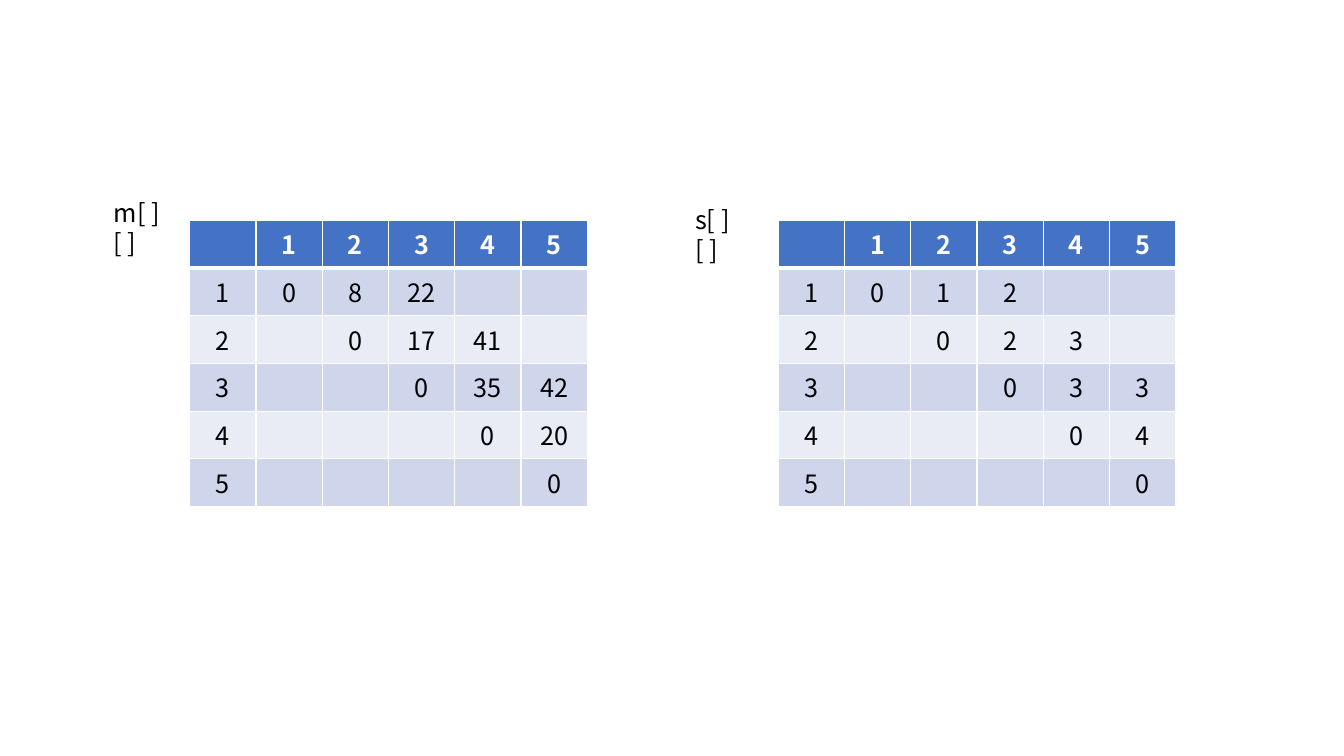
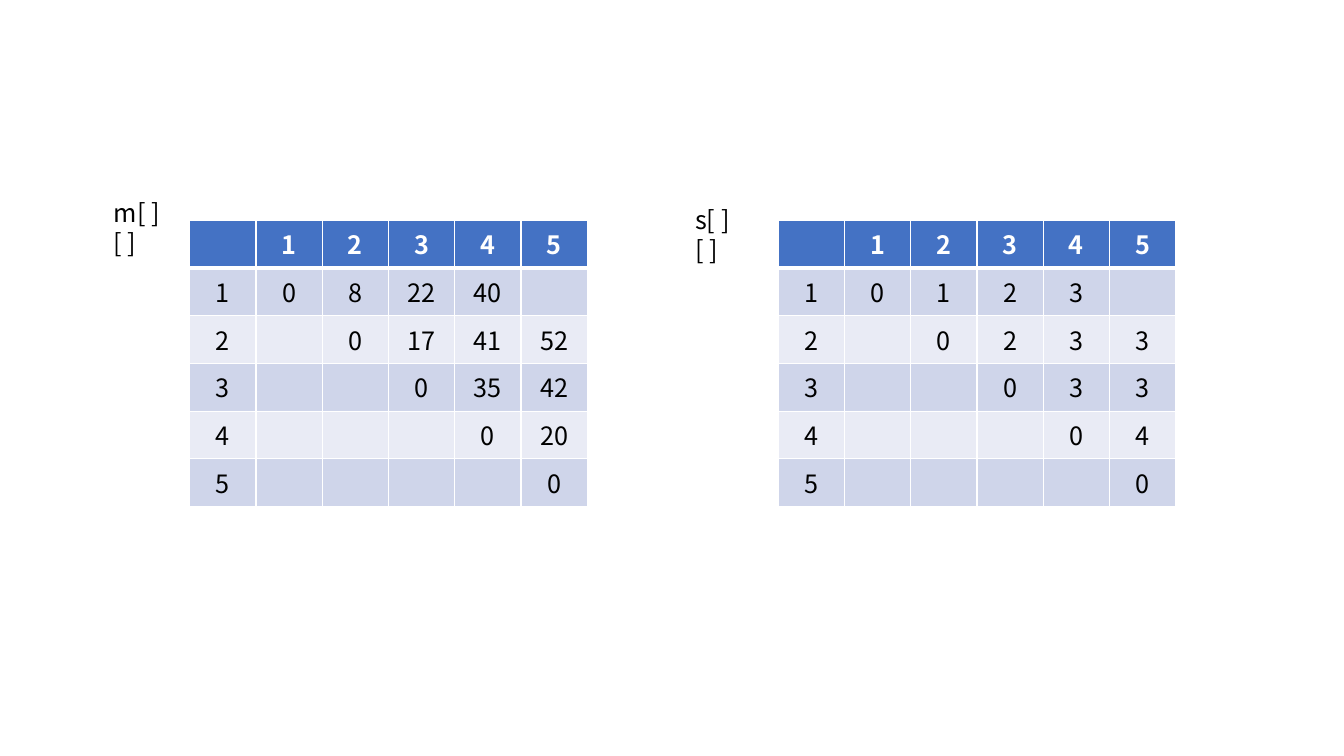
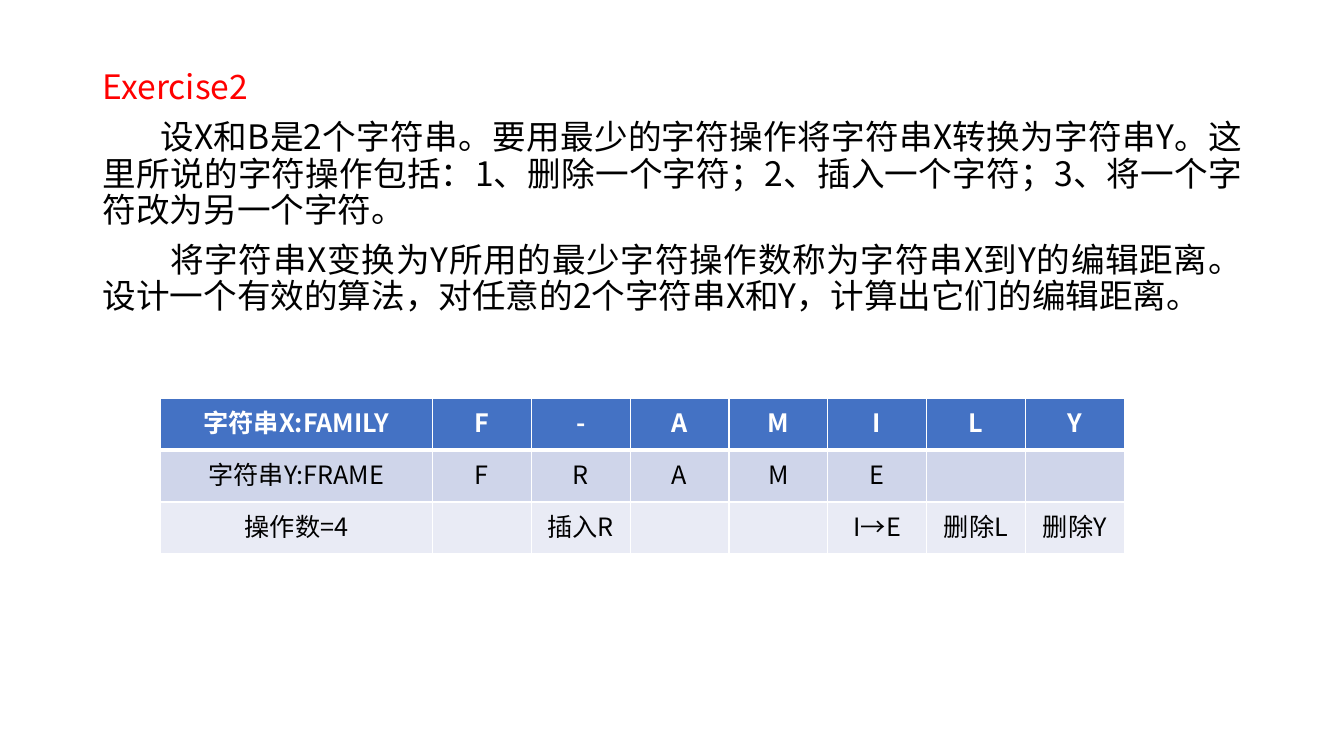
from dataclasses import dataclass

from lxml.etree import SubElement
from pptx import Presentation
from pptx.dml.color import RGBColor
from pptx.enum.lang import MSO_LANGUAGE_ID
from pptx.enum.text import PP_ALIGN
from pptx.oxml import parse_xml
from pptx.oxml.ns import nsdecls, qn
from pptx.util import Cm, Pt


@dataclass(frozen=True)
class Theme:
    font: str = "Noto Sans CJK SC"
    text: str = "000000"
    accent: str = "FF0000"
    header: str = "4472C4"
    header_text: str = "FFFFFF"
    bands: tuple = ("CFD5EA", "E9EBF5")
    rule: str = "FFFFFF"
    thin: float = 1
    thick: float = 3
    small: int = 18
    body: int = 24


T = Theme()

# Content: each matrix row starts on the diagonal
SIZE = 5
MATRICES = [
    {"label": "m[ ][ ]", "label_box": (2.62, 4.85, 2.1, 1.02), "left": 4.78,
     "rows": [[0, 8, 22, 40], [0, 17, 41, 52], [0, 35, 42], [0, 20], [0]]},
    {"label": "s[ ][ ]", "label_box": (17.27, 5.03, 1.85, 1.02), "left": 19.61,
     "rows": [[0, 1, 2, 3], [0, 2, 3, 3], [0, 3, 3], [0, 4], [0]]},
]
DIAGONALS_SHOWN = [3, 4]  # one slide for each
MATRIX_TOP, MATRIX_COL, MATRIX_ROW = 5.56, 1.67, 1.2

EXERCISE_BOX = (2.34, 1.65, 29.21, 15.5)
EXERCISE = [  # text, colour, first-line indent
    ("Exercise2", T.accent, 0),
    ("设X和B是2个字符串。要用最少的字符操作将字符串X转换为字符串Y。这里所说的字符操作包括："
     "1、删除一个字符；2、插入一个字符；3、将一个字符改为另一个字符。", T.text, 1.45),
    ("将字符串X变换为Y所用的最少字符操作数称为字符串X到Y的编辑距离。"
     "设计一个有效的算法，对任意的2个字符串X和Y，计算出它们的编辑距离。", T.text, 1.7),
]
EDITS = [
    ["字符串X:FAMILY", "F", "-", "A", "M", "I", "L", "Y"],
    ["字符串Y:FRAME", "F", "R", "A", "M", "E", "", ""],
    ["操作数=4", "", "插入R", "", "", "I→E", "删除L", "删除Y"],
]
EDITS_LEFT, EDITS_TOP, EDITS_ROW = 4.04, 10.03, 1.31
EDITS_COLS = [6.86] + [2.49] * 7


# Helpers
def write(p, text, size=T.small, color=T.text, bold=False, align=None,
          indent=0, before=0, spacing=None):
    """Put one formatted run into paragraph p."""
    if indent:
        p._p.get_or_add_pPr().set("indent", str(Cm(indent)))
    p.alignment, p.line_spacing = align, spacing
    if before:
        p.space_before = Pt(before)
    r = p.add_run()
    r.text = text
    f = r.font
    f.size, f.bold, f.name = Pt(size), bold, T.font
    f.color.rgb = RGBColor.from_string(color)
    f.language_id = MSO_LANGUAGE_ID.SIMPLIFIED_CHINESE
    SubElement(r._r.get_or_add_rPr(), qn("a:ea")).set("typeface", T.font)


def add_text_frame(s, box):
    tf = s.shapes.add_textbox(*map(Cm, box)).text_frame
    tf.word_wrap = True
    return tf


def set_borders(cell, **widths):
    tcPr = cell._tc.get_or_add_tcPr()
    for i, side in enumerate("LRTB"):
        width = Pt(widths.get(side, T.thin))
        tcPr.insert(i, parse_xml(
            f'<a:ln{side} {nsdecls("a")} w="{width}"><a:solidFill>'
            f'<a:srgbClr val="{T.rule}"/></a:solidFill></a:ln{side}>'))


def add_banded_table(s, data, left, top, cols, row_height):
    frame = s.shapes.add_table(len(data), len(cols), Cm(left), Cm(top),
                               Cm(sum(cols)), Cm(row_height * len(data)))
    table = frame.table
    for column, width in zip(table.columns, cols):
        column.width = Cm(width)
    for i, values in enumerate(data):
        table.rows[i].height = Cm(row_height)
        header = i == 0
        fill = T.header if header else T.bands[(i - 1) % 2]
        thick = {0: {"B": T.thick}, 1: {"T": T.thick}}.get(i, {})
        for j, value in enumerate(values):
            cell = table.cell(i, j)
            cell.fill.solid()
            cell.fill.fore_color.rgb = RGBColor.from_string(fill)
            set_borders(cell, **thick)
            if value != "":
                write(cell.text_frame.paragraphs[0], str(value), bold=header,
                      color=T.header_text if header else T.text,
                      align=PP_ALIGN.CENTER)


def matrix_grid(rows, shown):
    """Header row and column around the first diagonals of a triangle."""
    grid = [["", *range(1, SIZE + 1)]]
    for i, row in enumerate(rows):
        values = [""] * i + row[:shown]
        grid.append([i + 1] + values + [""] * (SIZE - len(values)))
    return grid


# Slides
def add_matrix_slide(prs, shown):
    s = prs.slides.add_slide(prs.slide_layouts[6])
    for m in MATRICES:
        add_banded_table(s, matrix_grid(m["rows"], shown), m["left"], MATRIX_TOP,
                         [MATRIX_COL] * (SIZE + 1), MATRIX_ROW)
    for m in MATRICES:
        write(add_text_frame(s, m["label_box"]).paragraphs[0], m["label"])


def add_exercise_slide(prs):
    s = prs.slides.add_slide(prs.slide_layouts[6])
    tf = add_text_frame(s, EXERCISE_BOX)
    for i, (text, color, indent) in enumerate(EXERCISE):
        p = tf.add_paragraph() if i else tf.paragraphs[0]
        write(p, text, size=T.body, color=color, align=PP_ALIGN.JUSTIFY,
              indent=indent, before=10 if i else 0, spacing=0.9)
    add_banded_table(s, EDITS, EDITS_LEFT, EDITS_TOP, EDITS_COLS, EDITS_ROW)


def main():
    prs = Presentation()
    prs.slide_width, prs.slide_height = Cm(33.87), Cm(19.05)
    for shown in DIAGONALS_SHOWN:
        add_matrix_slide(prs, shown)
    add_exercise_slide(prs)
    prs.save("out.pptx")


if __name__ == "__main__":
    main()
